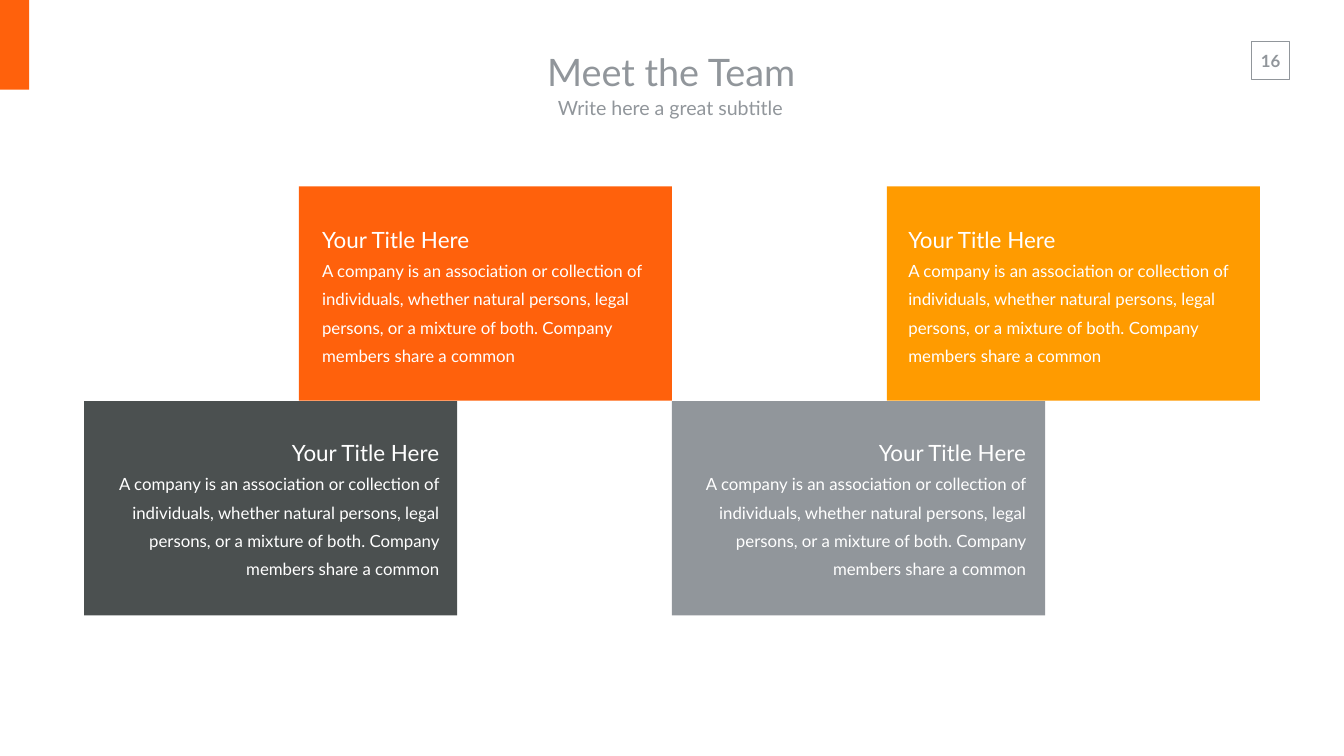
from pptx import Presentation
from pptx.dml.color import RGBColor
from pptx.enum.shapes import MSO_SHAPE
from pptx.enum.text import MSO_ANCHOR as ANCHOR, PP_ALIGN as ALIGN
from pptx.util import Pt

PX = 9144
ORANGE = RGBColor(0xFF, 0x61, 0x0C)
AMBER = RGBColor(0xFF, 0x9B, 0x00)
DARK = RGBColor(0x4B, 0x50, 0x50)
GRAY = RGBColor(0x91, 0x96, 0x9B)
WHITE = RGBColor(0xFF, 0xFF, 0xFF)
CARD_W, CARD_H = 740, 425
TITLE = "Your Title Here"
BODY = ("A company is an association or collection of individuals, whether "
        "natural persons, legal persons, or a mixture of both. Company "
        "members share a common")

prs = Presentation()
prs.slide_width = 2666 * PX
prs.slide_height = 1500 * PX
s = prs.slides.add_slide(prs.slide_layouts[6])


def add_rect(x, y, w, h, fill=None):
    sp = s.shapes.add_shape(MSO_SHAPE.RECTANGLE, x * PX, y * PX, w * PX, h * PX)
    sp.shadow.inherit = False
    if fill is None:
        sp.fill.background()
        sp.line.color.rgb = GRAY
        sp.line.width = Pt(1)
    else:
        sp.fill.solid()
        sp.fill.fore_color.rgb = fill
        sp.line.fill.background()


def add_text(x, y, w, h, lines, color, align, inset=(10, 5), anchor=ANCHOR.TOP,
             spacing=None, bold=False, wrap=True):
    tf = s.shapes.add_textbox(x * PX, y * PX, w * PX, h * PX).text_frame
    tf.word_wrap = wrap
    tf.vertical_anchor = anchor
    tf.margin_left = tf.margin_right = inset[0] * PX
    tf.margin_top = tf.margin_bottom = inset[1] * PX
    tf.text = "\n".join(text for text, size in lines)
    for p, (text, size) in zip(tf.paragraphs, lines):
        p.alignment = align
        p.line_spacing = spacing
        r = p.runs[0]
        r.font.name = "Lato"
        r.font.size = Pt(size)
        r.font.bold = bold
        r.font.color.rgb = color


add_text(2480, 90, 81, 61, [("16", 24)], GRAY, ALIGN.CENTER,
         inset=(20, 10), bold=True, wrap=False)
add_rect(2483, 82, 75, 75)
add_rect(0, 0, 58, 178, ORANGE)

add_text(815, 83, 1033, 118, [("Meet the Team", 54)], GRAY, ALIGN.CENTER,
         inset=(27, 13), anchor=ANCHOR.MIDDLE)
add_text(818, 176, 1033, 74, [("Write here a great subtitle ", 28)], GRAY,
         ALIGN.CENTER, inset=(27, 13), anchor=ANCHOR.MIDDLE)

cards = [
    (593, 370, ORANGE, 629, 422, ALIGN.LEFT),
    (1759, 370, AMBER, 1792, 422, ALIGN.LEFT),
    (167, 796, DARK, 200, 845, ALIGN.RIGHT),
    (1333, 796, GRAY, 1364, 845, ALIGN.RIGHT),
]
for x, y, fill, text_x, text_y, align in cards:
    add_rect(x, y, CARD_W, CARD_H, fill)
    add_text(text_x, text_y, 681, 309, [(TITLE, 32), (BODY, 24)], WHITE, align,
             spacing=1.4)

prs.save("out.pptx")
